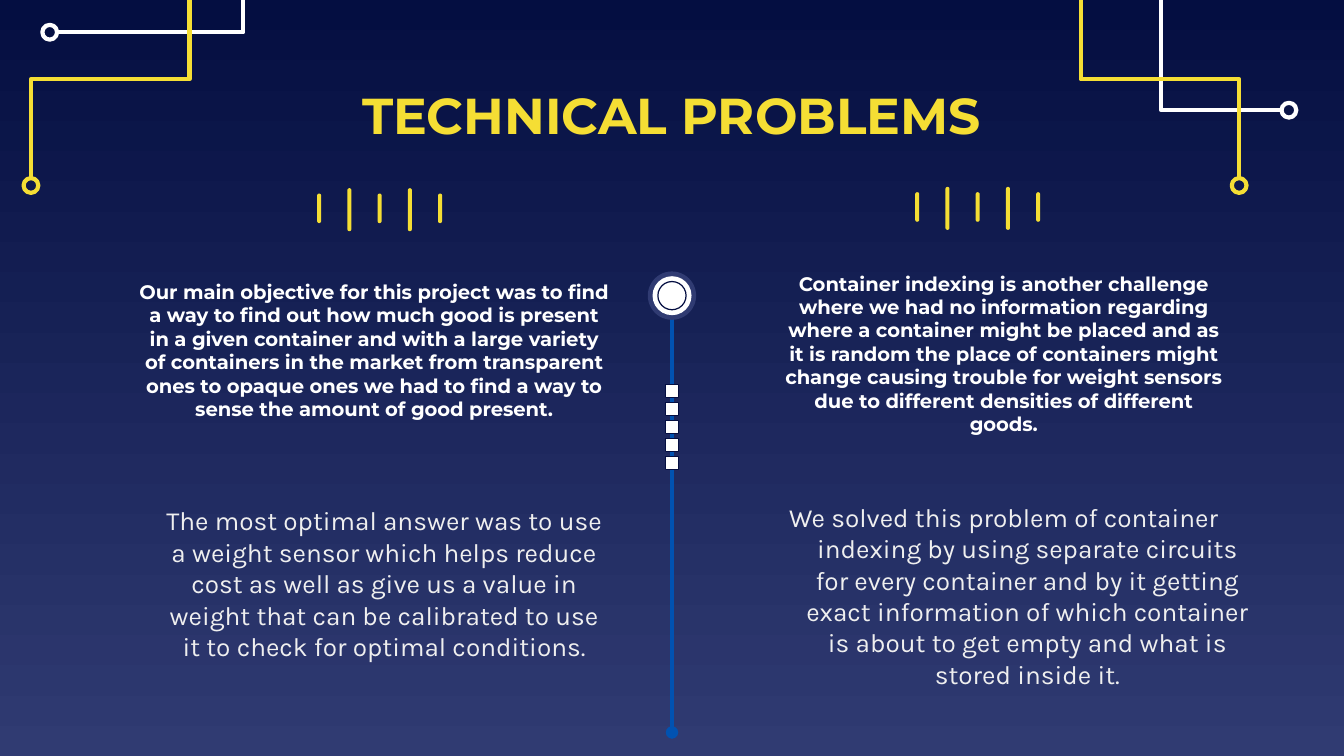
from dataclasses import dataclass

from lxml import etree
from pptx import Presentation, util as u
from pptx.dml.color import RGBColor
from pptx.enum import shapes as s, text as t
from pptx.oxml import ns


@dataclass(frozen=True)
class Theme:
    night: str = "040E41"
    dusk: str = "303B72"
    white: str = "FFFFFF"
    pale: str = "EFEFEF"
    gold: str = "F5DE34"
    blue: str = "0152B1"
    head: str = "Montserrat"
    body: str = "Karla"
    big: float = 27
    mid: float = 14
    small: float = 10.5
    thick: float = 2.25
    thin: float = 0.66


@dataclass(frozen=True)
class Trace:
    points: tuple[tuple[float, float], ...]
    dot: tuple[float, float]
    color: str


@dataclass(frozen=True)
class Note:
    words: str
    box: tuple[float, float, float, float]
    style: dict


LOOK = Theme()
HEAD = dict(font=LOOK.head, size=LOOK.small, color=LOOK.white, bold=True)
BODY = dict(font=LOOK.body, size=LOOK.mid, color=LOOK.pale)
TOP = t.MSO_ANCHOR.TOP

TRACES = (
    Trace(((0.42, 0.24), (1.81, 0.24), (1.81, -0.87)), (0.37, 0.24), LOOK.white),
    Trace(((0.23, 1.33), (0.23, 0.59), (1.41, 0.59), (1.41, -0.12)), (0.23, 1.38), LOOK.gold),
    Trace(((9.53, 0.82), (8.64, 0.82), (8.64, -0.28)), (9.59, 0.82), LOOK.white),
    Trace(((9.22, 1.33), (9.22, 0.59), (8.04, 0.59), (8.04, -0.12)), (9.22, 1.38), LOOK.gold),
)

NOTES = (
    Note("Our main objective for this project was to find a way to find out how much good is "
         "present in a given container and with a large variety of containers in the market "
         "from transparent ones to opaque ones we had to find a way to sense the amount of "
         "good present.", (0.93, 1.71, 3.71, 1.79), HEAD),
    Note("Container indexing is another challenge where we had no information regarding where "
         "a container might be placed and as it is random the place of containers might change "
         "causing trouble for weight sensors due to different densities of different goods.",
         (5.58, 1.92, 3.63, 1.36), dict(HEAD, anchor=TOP, left=0.15)),
    Note("The most optimal answer was to use a weight sensor which helps reduce cost as well "
         "as give us a value in weight that can be calibrated to use it to check for optimal "
         "conditions.", (0.93, 3.9, 3.71, 0.88), dict(BODY, left=0.15)),
    Note("We solved this problem of container indexing by using separate circuits for every "
         "container and by it getting exact information of which container is about to get "
         "empty and what is stored inside it.",
         (5.4, 3.63, 3.99, 1.64), dict(BODY, anchor=TOP, left=0.5, first=-0.35)),
    Note("TECHNICAL PROBLEMS", (1.86, 0.59, 6.27, 0.52),
         dict(font=LOOK.head, size=LOOK.big, color=LOOK.gold, bold=True)),
)


def paint(shape, fill: str | None = None, line: str | None = None, width: float = 0) -> None:
    """Set the fill and outline of a shape and drop its shadow."""
    shape.shadow.inherit = False
    if fill:
        shape.fill.solid()
        shape.fill.fore_color.rgb = RGBColor.from_string(fill)
    else:
        shape.fill.background()
    if line:
        shape.line.color.rgb = RGBColor.from_string(line)
        shape.line.width = u.Pt(width)
    else:
        shape.line.fill.background()


def write(slide, words: str, box: tuple, *, font: str, size: float, color: str,
          bold: bool = False, anchor=t.MSO_ANCHOR.MIDDLE, left: float = 0,
          first: float = 0) -> None:
    """Add a centred, wrapped text box."""
    frame = slide.shapes.add_textbox(*map(u.Inches, box)).text_frame
    frame.word_wrap = True
    frame.vertical_anchor = anchor
    frame.margin_left = frame.margin_right = u.Inches(0.1)
    frame.margin_top = frame.margin_bottom = u.Inches(0.1)
    para = frame.paragraphs[0]
    para.alignment = t.PP_ALIGN.CENTER
    props = para._p.get_or_add_pPr()
    props.set("marL", str(u.Inches(left)))
    props.set("indent", str(u.Inches(first)))
    run = para.add_run()
    run.text = words
    run.font.name, run.font.size, run.font.bold = font, u.Pt(size), bold
    run.font.color.rgb = RGBColor.from_string(color)


def disc(slide, x: float, y: float, size: float, **style) -> None:
    """Add a circle around a centre point."""
    box = (x - size / 2, y - size / 2, size, size)
    paint(slide.shapes.add_shape(s.MSO_SHAPE.OVAL, *map(u.Inches, box)), **style)


def wire(slide, trace: Trace) -> None:
    """Draw a circuit trace with a ring at its end."""
    start, *rest = [tuple(map(u.Inches, point)) for point in trace.points]
    path = slide.shapes.build_freeform(*start)
    path.add_line_segments(rest, close=False)
    paint(path.convert_to_shape(), line=trace.color, width=LOOK.thick)
    disc(slide, *trace.dot, 0.11, line=trace.color, width=LOOK.thick)


def bars(slide, left: float, top: float) -> None:
    """Draw five upright bars, short and long in turn."""
    for i in range(5):
        drop, tall = (0, 0.32) if i % 2 else (0.04, 0.22)
        box = (left + i * 0.9 / 4, top + drop, 0.03, tall)
        bar = slide.shapes.add_shape(s.MSO_SHAPE.ROUNDED_RECTANGLE, *map(u.Inches, box))
        bar.adjustments[0] = 0.5
        paint(bar, fill=LOOK.gold)


def spine(slide) -> None:
    """Draw the central line with its round head and squares."""
    ends = map(u.Inches, (5, 2.22, 5, 5.45))
    link = slide.shapes.add_connector(s.MSO_CONNECTOR.STRAIGHT, *ends)
    link.line.color.rgb = RGBColor.from_string(LOOK.blue)
    link.line.width = u.Pt(LOOK.thick)
    etree.SubElement(link.line._get_or_add_ln(), ns.qn("a:tailEnd"), type="oval")
    etree.SubElement(link._element.spPr, ns.qn("a:effectLst"))
    disc(slide, 5, 2.2, 0.36, fill=LOOK.dusk)
    disc(slide, 5, 2.2, 0.29, fill=LOOK.white)
    disc(slide, 5, 2.2, 0.21, fill=LOOK.white, line=LOOK.night, width=LOOK.thin)
    for i in range(5):
        box = (4.95, 2.86 + i * 0.67 / 5, 0.1, 0.1)
        tile = slide.shapes.add_shape(s.MSO_SHAPE.RECTANGLE, *map(u.Inches, box))
        paint(tile, fill=LOOK.white, line=LOOK.night, width=LOOK.thin)


def main() -> None:
    """Build the slide and save it."""
    deck = Presentation()
    deck.slide_width, deck.slide_height = u.Inches(10), u.Inches(10 * 9 / 16)
    slide = deck.slides.add_slide(deck.slide_layouts[6])
    back = slide.background.fill
    back.gradient()
    back.gradient_angle = 270
    for stop, color in zip(back.gradient_stops, (LOOK.night, LOOK.dusk)):
        stop.color.rgb = RGBColor.from_string(color)
    for trace in TRACES:
        wire(slide, trace)
    for note in NOTES:
        write(slide, note.words, note.box, **note.style)
    bars(slide, 2.36, 1.4)
    bars(slide, 6.81, 1.39)
    spine(slide)
    deck.save("out.pptx")


if __name__ == "__main__":
    main()
